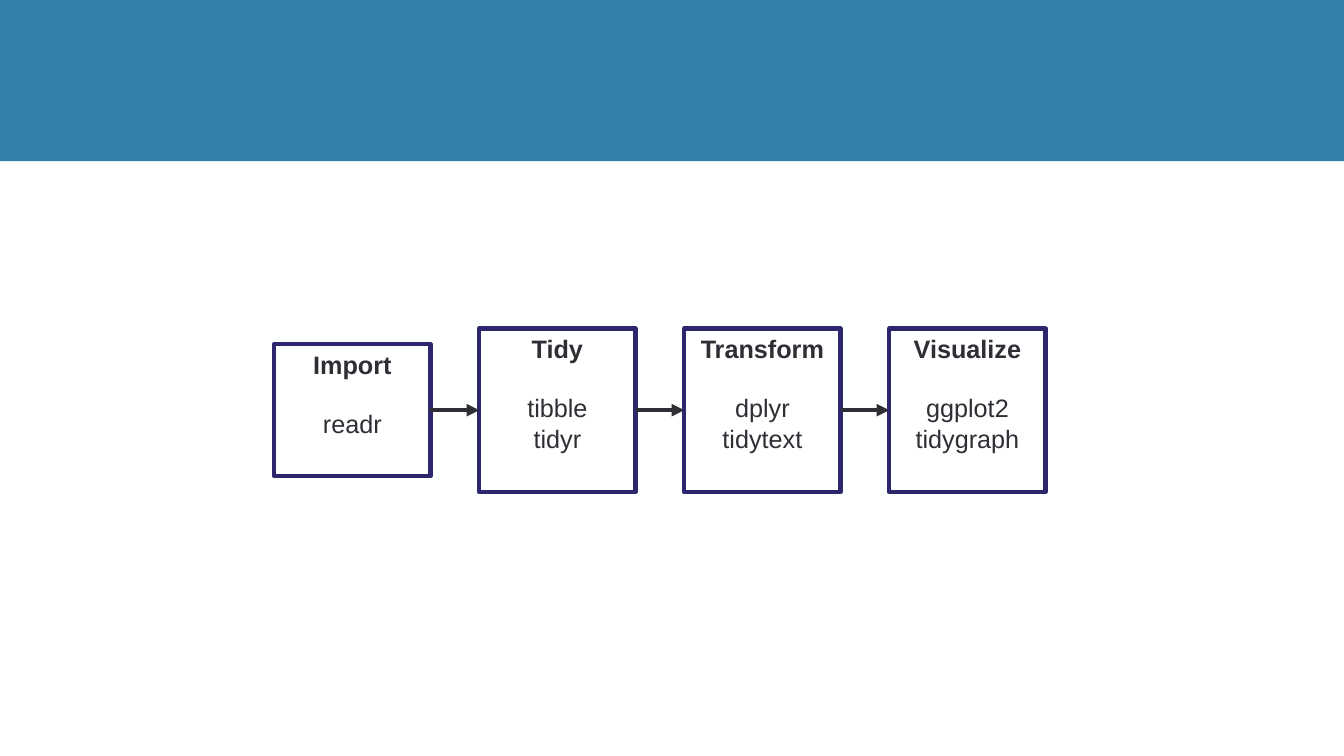
"""Build a slide with a four-step data workflow and the packages for each step."""
from dataclasses import dataclass
from itertools import pairwise

from lxml.etree import SubElement
from pptx import Presentation
from pptx.dml.color import RGBColor
from pptx.enum.shapes import MSO_CONNECTOR, MSO_SHAPE
from pptx.enum.text import MSO_ANCHOR, PP_ALIGN
from pptx.oxml.ns import qn
from pptx.shapes.autoshape import Shape
from pptx.slide import Slide
from pptx.util import Inches, Pt

PAPER = RGBColor(0xFE, 0xFF, 0xFF)
BAND = RGBColor(0x33, 0x82, 0xAE)
BORDER = RGBColor(0x2C, 0x26, 0x6D)
INK = RGBColor(0x2F, 0x2E, 0x35)

WIDTH, HEIGHT, BAND_HEIGHT = 13.33, 7.5, 1.6
LEFT, MIDDLE, BOX_WIDTH = 2.72, 4.07, 1.55
PITCH = (8.82 - LEFT) / 3
BASE_HEIGHT, ROW_HEIGHT = 1.0, 0.31
LINE_WIDTH, FONT_SIZE, HEADING_GAP = Pt(3), Pt(18), Pt(20.7)


@dataclass(frozen=True)
class Step:
    """A workflow step and its packages."""
    name: str
    packages: tuple[str, ...]


STEPS = (
    Step("Import", ("readr",)),
    Step("Tidy", ("tibble", "tidyr")),
    Step("Transform", ("dplyr", "tidytext")),
    Step("Visualize", ("ggplot2", "tidygraph")),
)


def add_rect(s: Slide, x: float, y: float, w: float, h: float, fill: RGBColor) -> Shape:
    """Add a flat rectangle without an outline."""
    sp = s.shapes.add_shape(MSO_SHAPE.RECTANGLE, Inches(x), Inches(y), Inches(w), Inches(h))
    sp.shadow.inherit = False
    sp.fill.solid()
    sp.fill.fore_color.rgb = fill
    sp.line.fill.background()
    return sp


def add_step(s: Slide, column: int, step: Step) -> Shape:
    """Add an outlined step box centred on the flow line."""
    h = BASE_HEIGHT + ROW_HEIGHT * len(step.packages)
    sp = add_rect(s, LEFT + column * PITCH, MIDDLE - h / 2, BOX_WIDTH, h, PAPER)
    sp.line.color.rgb = BORDER
    sp.line.width = LINE_WIDTH
    tf = sp.text_frame
    tf.word_wrap = True
    tf.vertical_anchor = MSO_ANCHOR.TOP
    for i, text in enumerate((step.name, *step.packages)):
        p = tf.add_paragraph() if i else tf.paragraphs[0]
        p.alignment = PP_ALIGN.CENTER
        r = p.add_run()
        r.text = text
        r.font.name = "Arial"
        r.font.size = FONT_SIZE
        r.font.bold = i == 0
        r.font.color.rgb = INK
    tf.paragraphs[0].space_after = HEADING_GAP
    return sp


def add_arrow(s: Slide, start: Shape, end: Shape) -> None:
    """Connect the right side of one box to the left side of the next."""
    cx = s.shapes.add_connector(MSO_CONNECTOR.STRAIGHT, 0, 0, 0, 0)
    cx.begin_connect(start, 3)
    cx.end_connect(end, 1)
    cx.line.color.rgb = INK
    cx.line.width = LINE_WIDTH
    SubElement(cx.line._get_or_add_ln(), qn("a:tailEnd"), type="triangle")
    SubElement(cx._element.spPr, qn("a:effectLst"))


def main() -> None:
    """Create and save the presentation."""
    prs = Presentation()
    prs.slide_width, prs.slide_height = Inches(WIDTH), Inches(HEIGHT)
    s = prs.slides.add_slide(prs.slide_layouts[6])
    s.background.fill.solid()
    s.background.fill.fore_color.rgb = PAPER
    add_rect(s, 0, 0, WIDTH, BAND_HEIGHT, BAND)
    boxes = [add_step(s, i, step) for i, step in enumerate(STEPS)]
    for start, end in pairwise(boxes):
        add_arrow(s, start, end)
    prs.save("out.pptx")


if __name__ == "__main__":
    main()
